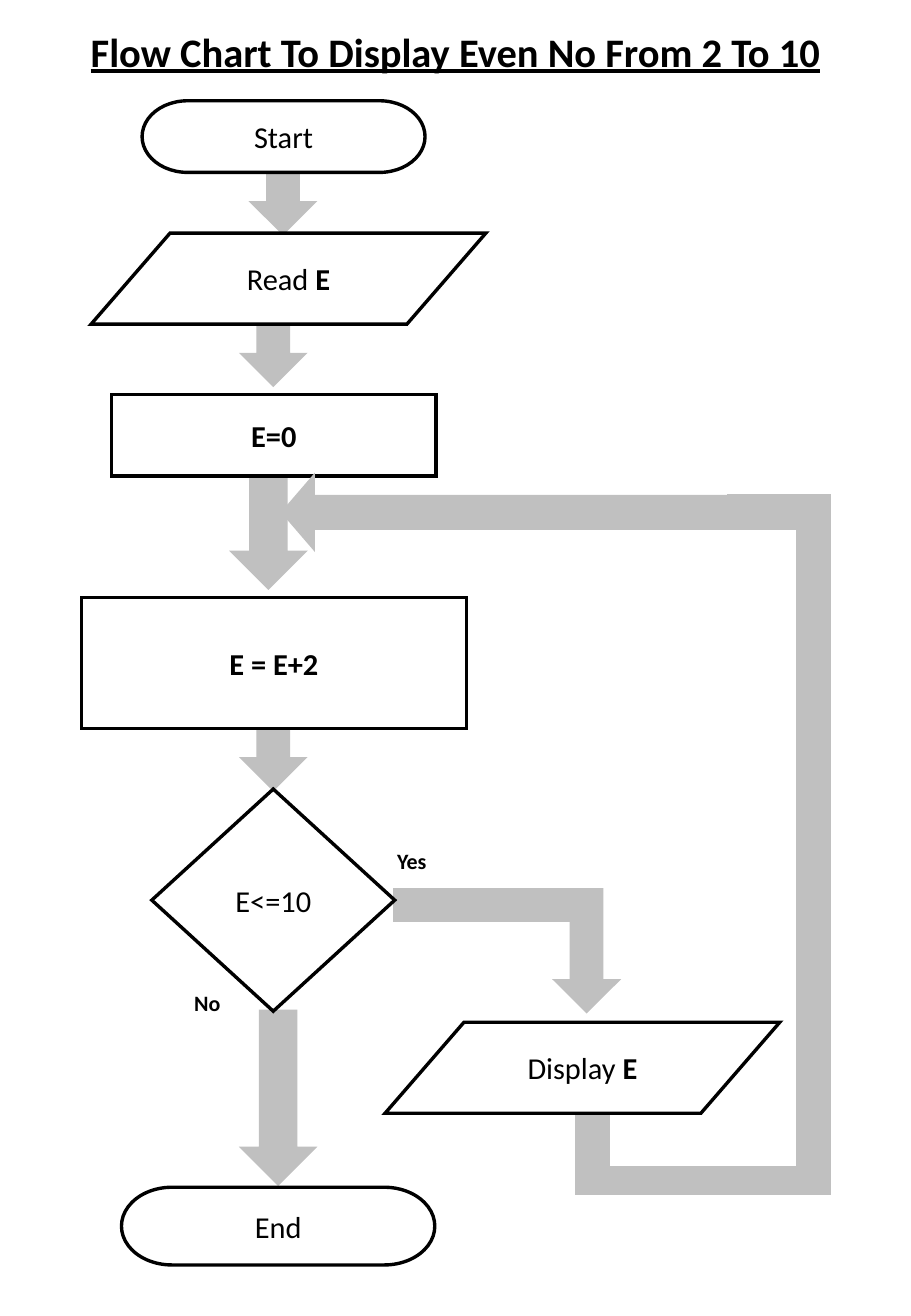
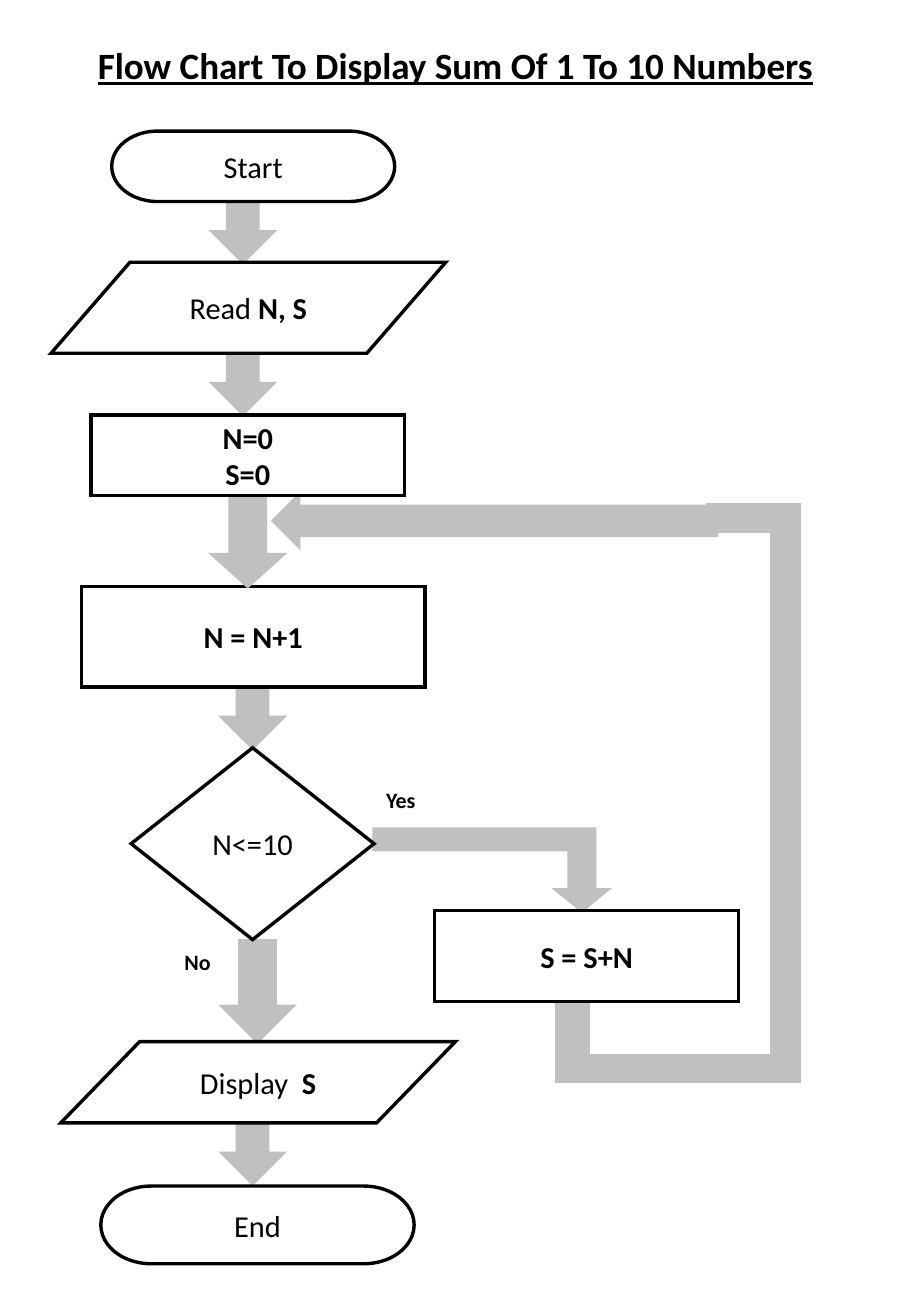
import pptx
import pptx.util
import pptx.dml.color
import pptx.enum.shapes
import pptx.enum.text
import pptx.oxml

SCALE = 9144
WIDTH, HEIGHT = 750, 1084
FONT = "Calibri"
BODY_SIZE, LABEL_SIZE = 18, 13
LINE_WIDTH = 2
BLACK = pptx.dml.color.RGBColor(0x00, 0x00, 0x00)
WHITE = pptx.dml.color.RGBColor(0xFF, 0xFF, 0xFF)
GRAY = pptx.dml.color.RGBColor(0xC0, 0xC0, 0xC0)
KINDS = pptx.enum.shapes.MSO_SHAPE
CENTER = pptx.enum.text.PP_ALIGN.CENTER
LEFT = pptx.enum.text.PP_ALIGN.LEFT
MITER = '<a:miter xmlns:a="http://schemas.openxmlformats.org/drawingml/2006/main" lim="800000"/>'

TERMINATOR = KINDS.FLOWCHART_TERMINATOR
INPUT_OUTPUT = KINDS.FLOWCHART_DATA
PROCESS = KINDS.FLOWCHART_PROCESS
DECISION = KINDS.FLOWCHART_DECISION
DOWN = KINDS.DOWN_ARROW
BACK = KINDS.LEFT_ARROW

EVEN_NUMBERS = {
    "title": ("Flow Chart To Display Even No From 2 To 10", 24, (0, 17, 750, 50)),
    "parts": [
        ("arrow", DOWN, (192, 392, 58, 92), (0.5, 0.5)),
        ("arrow", DOWN, (200, 267, 50, 50), (0.5, 0.5)),
        ("arrow", DOWN, (208, 142, 50, 50), (0.5, 0.5)),
        ("arrow", DOWN, (200, 600, 50, 50), (0.5, 0.5)),
        ("arrow", DOWN, (200, 833, 58, 142), (0.5, 0.5)),
        ("elbow", (683, 983), (600, 408), 26, 27),
        ("elbow", (475, 917), (675, 983), 26, 21),
        ("bent_arrow", (325, 733), (483, 833), 25, 25, 50, 25),
        ("node", INPUT_OUTPUT, (75, 192, 325, 75), [[("Read ", False), ("E", True)]]),
        ("node", PROCESS, (67, 492, 317, 108), [[("E = E+2", True)]]),
        ("node", DECISION, (125, 650, 200, 183), [[("E<=10", False)]]),
        ("node", TERMINATOR, (117, 83, 233, 59), [[("Start", False)]]),
        ("node", TERMINATOR, (100, 978, 258, 64), [[("End", False)]]),
        ("node", INPUT_OUTPUT, (317, 842, 325, 75), [[("Display", False), (" E", True)]]),
        ("node", PROCESS, (92, 325, 267, 67), [[("E=0", True)]]),
        ("arrow", BACK, (233, 393, 365, 58), (0.45, 0.43)),
        ("label", "No", (150, 817, 58, 25)),
        ("label", "Yes", (317, 700, 58, 25)),
    ],
}

SUM_OF_NUMBERS = {
    "title": ("Flow Chart To Display Sum Of 1 To 10 Numbers", 22, (0, 41, 750, 25)),
    "parts": [
        ("arrow", DOWN, (175, 291, 50, 50), (0.5, 0.5)),
        ("arrow", DOWN, (175, 166, 50, 50), (0.5, 0.5)),
        ("arrow", DOWN, (183, 925, 50, 50), (0.5, 0.5)),
        ("arrow", DOWN, (183, 775, 58, 83), (0.5, 0.5)),
        ("arrow", DOWN, (183, 566, 50, 50), (0.5, 0.5)),
        ("bent_arrow", (308, 683), (479, 750), 17, 21, 42, 17),
        ("node", PROCESS, (67, 483, 283, 83), [[("N = N+1", True)]]),
        ("node", DECISION, (108, 616, 200, 158), [[("N<=10", False)]]),
        ("node", TERMINATOR, (92, 108, 233, 58), [[("Start", False)]]),
        ("node", TERMINATOR, (83, 977, 258, 64), [[("End", False)]]),
        ("node", INPUT_OUTPUT, (42, 216, 325, 75), [[("Read ", False), ("N, S", True)]]),
        ("node", INPUT_OUTPUT, (50, 858, 325, 67), [[("Display", False), ("  S", True)]]),
        ("arrow", DOWN, (175, 400, 58, 83), (0.5, 0.45)),
        ("elbow", (458, 825), (658, 891), 26, 21),
        ("elbow", (658, 891), (583, 416), 23, 22),
        ("arrow", BACK, (225, 408, 365, 42), (0.57, 0.5)),
        ("node", PROCESS, (358, 750, 250, 75), [[("S = S+N", True)]]),
        ("node", PROCESS, (75, 342, 258, 66), [[("N=0", True)], [("S=0", True)]]),
        ("label", "No", (142, 783, 58, 25)),
        ("label", "Yes", (308, 650, 58, 25)),
    ],
}


def px(value):
    return pptx.util.Emu(round(value * SCALE))


def paint(shape, fill, line):
    shape.shadow.inherit = False
    shape.fill.solid()
    shape.fill.fore_color.rgb = fill
    shape.line.color.rgb = line
    shape.line.width = pptx.util.Pt(LINE_WIDTH)
    shape.line._get_or_add_ln().append(pptx.oxml.parse_xml(MITER))


def write(shape, paragraphs, size, align=CENTER, underline=False, spacing=None):
    frame = shape.text_frame
    frame.word_wrap = True
    frame.vertical_anchor = pptx.enum.text.MSO_ANCHOR.MIDDLE
    for index, runs in enumerate(paragraphs):
        paragraph = frame.add_paragraph() if index else frame.paragraphs[0]
        paragraph.alignment = align
        if spacing:
            paragraph.line_spacing = spacing
        for text, bold in runs:
            run = paragraph.add_run()
            run.text = text
            run.font.name = FONT
            run.font.size = pptx.util.Pt(size)
            run.font.bold = bold
            run.font.underline = underline
            run.font.color.rgb = BLACK


def add_title(slide, text, size, box):
    shape = slide.shapes.add_textbox(*map(px, box))
    write(shape, [[(text, True)]], size, underline=True)


def add_label(slide, text, box):
    shape = slide.shapes.add_textbox(*map(px, box))
    write(shape, [[(text, True)]], LABEL_SIZE, align=LEFT, spacing=0.6)


def add_node(slide, kind, box, paragraphs):
    shape = slide.shapes.add_shape(kind, *map(px, box))
    paint(shape, WHITE, BLACK)
    write(shape, paragraphs, BODY_SIZE)


def add_arrow(slide, kind, box, adjustments):
    shape = slide.shapes.add_shape(kind, *map(px, box))
    for index, value in enumerate(adjustments):
        shape.adjustments[index] = value
    paint(shape, GRAY, GRAY)


def add_outline(slide, points):
    corners = [(px(x), px(y)) for x, y in points]
    builder = slide.shapes.build_freeform(*corners[0])
    builder.add_line_segments(corners[1:], close=True)
    paint(builder.convert_to_shape(), GRAY, GRAY)


def add_elbow(slide, start, end, leg, foot):
    (x0, y0), (x1, y1) = start, end
    inner_x = x0 + (leg if x1 > x0 else -leg)
    inner_y = y1 - (foot if y1 > y0 else -foot)
    add_outline(slide, [(x0, y0), (inner_x, y0), (inner_x, inner_y),
                        (x1, inner_y), (x1, y1), (x0, y1)])


def add_bent_arrow(slide, start, tip, band, shaft, head, depth):
    (left, top), (x, bottom) = start, tip
    neck = bottom - depth
    add_outline(slide, [(left, top + band), (x - shaft / 2, top + band),
                        (x - shaft / 2, neck), (x - head / 2, neck), tip,
                        (x + head / 2, neck), (x + shaft / 2, neck),
                        (x + shaft / 2, top), start])


DRAW = {"node": add_node, "arrow": add_arrow, "elbow": add_elbow,
        "bent_arrow": add_bent_arrow, "label": add_label}


def main():
    presentation = pptx.Presentation()
    presentation.slide_width, presentation.slide_height = px(WIDTH), px(HEIGHT)
    for chart in (EVEN_NUMBERS, SUM_OF_NUMBERS):
        slide = presentation.slides.add_slide(presentation.slide_layouts[6])
        add_title(slide, *chart["title"])
        for part, *details in chart["parts"]:
            DRAW[part](slide, *details)
    presentation.save("out.pptx")


if __name__ == "__main__":
    main()
